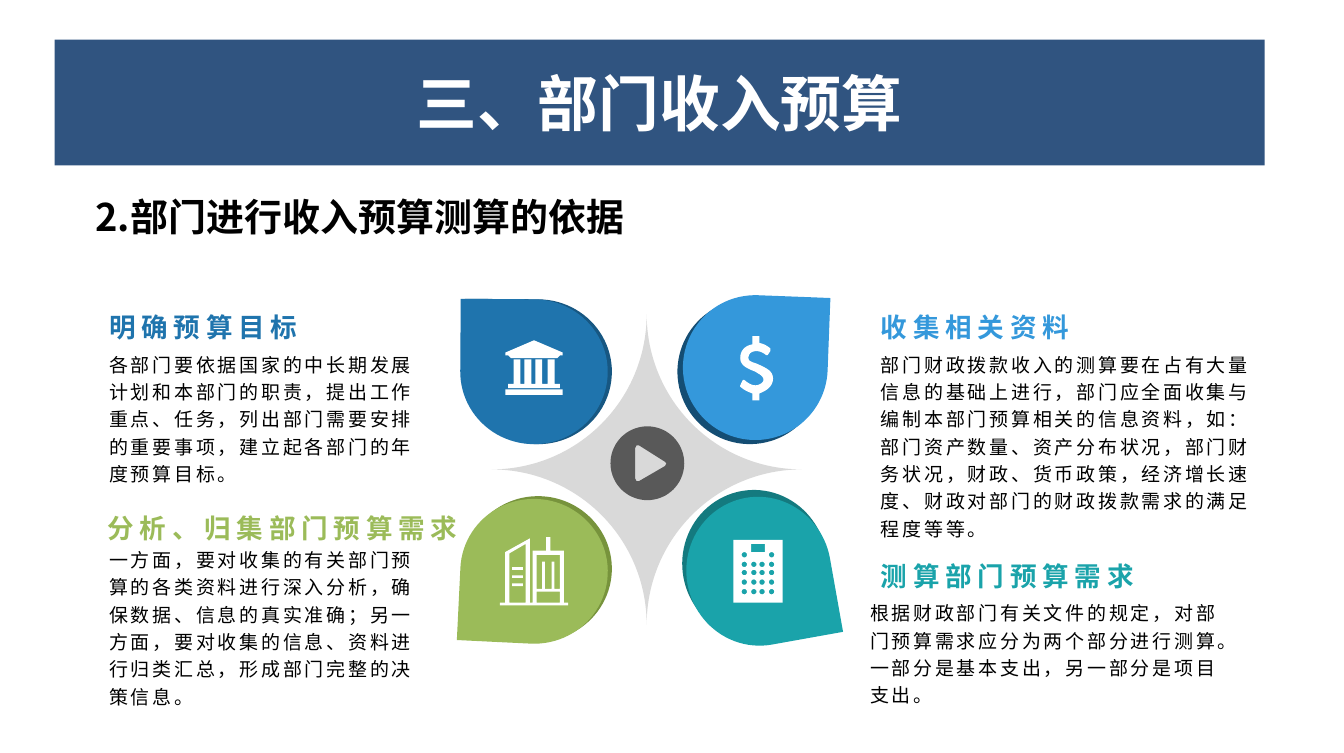
from dataclasses import dataclass
from itertools import product
from math import cos, pi, sin
from typing import Sequence

from lxml.etree import SubElement
from pptx import Presentation
from pptx.dml.color import RGBColor
from pptx.enum.shapes import MSO_SHAPE
from pptx.enum.text import MSO_ANCHOR, MSO_AUTO_SIZE, PP_ALIGN
from pptx.oxml.ns import qn
from pptx.shapes.autoshape import Shape
from pptx.slide import Slide
from pptx.text.text import TextFrame, _Paragraph
from pptx.util import Inches, Pt

Point = tuple[float, float]
Outline = list[Point]


@dataclass(frozen=True)
class Theme:
    font: str = "Noto Sans CJK SC"
    latin_font: str = "Calibri"
    white: str = "FFFFFF"
    black: str = "000000"
    banner: str = "305480"
    star: str = "D9D9D9"
    play: str = "595959"
    title_size: int = 32
    subtitle_size: int = 20
    heading_size: int = 14
    body_size: int = 10


@dataclass(frozen=True)
class Box:
    left: float
    top: float
    width: float
    height: float


@dataclass(frozen=True)
class Topic:
    heading: str
    body: str
    color: str
    shade: str
    heading_box: Box
    body_box: Box
    petal: Box
    shade_left: float
    shade_top: float
    rotation: float
    icon: list[Outline]
    alignment: PP_ALIGN = PP_ALIGN.LEFT


THEME = Theme()


def rectangle(left: float, top: float, right: float, bottom: float) -> Outline:
    return [(left, top), (right, top), (right, bottom), (left, bottom)]


def circle(center_x: float, center_y: float, radius: float, steps: int) -> Outline:
    angles = [2 * pi * step / steps for step in range(steps)]
    return [(center_x + radius * cos(a), center_y + radius * sin(a)) for a in angles]


def curved(start: Point, segments: Sequence[tuple[float, ...]], steps: int = 8) -> Outline:
    """Turn line ends (2 numbers) and cubic curves (6 numbers) into points."""
    points = [start]
    for segment in segments:
        if len(segment) == 2:
            points.append((segment[0], segment[1]))
            continue
        controls = [points[-1], segment[:2], segment[2:4], segment[4:]]
        for step in range(1, steps + 1):
            t = step / steps
            weights = ((1 - t) ** 3, 3 * t * (1 - t) ** 2, 3 * t * t * (1 - t), t ** 3)
            x, y = (sum(w * c[axis] for w, c in zip(weights, controls)) for axis in (0, 1))
            points.append((x, y))
    return points


PLAY = [circle(4.74, 3.39, 0.27, 72),
        [(4.65, 3.28), (4.66, 3.26), (4.68, 3.26), (4.87, 3.38), (4.88, 3.39),
         (4.87, 3.41), (4.68, 3.52), (4.66, 3.52), (4.65, 3.5)]]

BANK = [
    [(3.91, 2.49), (4.12, 2.58), (4.12, 2.6), (4.1, 2.6), (4.08, 2.62),
     (3.74, 2.62), (3.72, 2.6), (3.7, 2.6), (3.7, 2.58)],
    *[rectangle(left, 2.63, left + 0.05, 2.81) for left in (3.76, 3.84, 3.92, 4.01)],
    rectangle(3.72, 2.81, 4.1, 2.84),
    rectangle(3.7, 2.85, 4.12, 2.89),
]

DOLLAR = [curved((5.56, 2.88), [
    (5.56, 2.93), (5.51, 2.93), (5.51, 2.88), (5.45, 2.86, 5.42, 2.83, 5.42, 2.83),
    (5.42, 2.82), (5.44, 2.78), (5.45, 2.78), (5.45, 2.78, 5.49, 2.82, 5.53, 2.82),
    (5.56, 2.82, 5.59, 2.8, 5.59, 2.78), (5.59, 2.75, 5.56, 2.74, 5.53, 2.72),
    (5.48, 2.7, 5.42, 2.68, 5.42, 2.62), (5.42, 2.57, 5.45, 2.53, 5.51, 2.52),
    (5.51, 2.46), (5.56, 2.46), (5.56, 2.51), (5.61, 2.52, 5.64, 2.55, 5.64, 2.55),
    (5.64, 2.57), (5.62, 2.6), (5.61, 2.6), (5.61, 2.6, 5.58, 2.57, 5.54, 2.57),
    (5.5, 2.57, 5.48, 2.59, 5.48, 2.62), (5.48, 2.65, 5.52, 2.65, 5.56, 2.67),
    (5.6, 2.69, 5.66, 2.71, 5.66, 2.77), (5.66, 2.83, 5.61, 2.86, 5.56, 2.88),
])]

BUILDINGS = [
    [(4.16, 4.43), (3.66, 4.43), (3.66, 4.41), (3.7, 4.41), (3.7, 4.04), (3.88, 3.94),
     (3.88, 4.41), (3.9, 4.41), (3.9, 4.03), (4, 4.03), (4, 3.93), (4.03, 3.93),
     (4.03, 4.03), (4.13, 4.03), (4.13, 4.41), (4.16, 4.41)],
    [(3.85, 3.98), (3.73, 4.05), (3.73, 4.41), (3.85, 4.41)],
    rectangle(3.93, 4.06, 4.1, 4.31),
    rectangle(3.93, 4.33, 4.1, 4.41),
    *[rectangle(left, 4.11, left + 0.02, 4.31) for left in (3.97, 4.04)],
    *[rectangle(3.75, top, 3.83, top + 0.02) for top in (4.15, 4.21, 4.27)],
]

KEYS = [(5.45, 4.06), (5.65, 4.06),
        *product((5.45, 5.52, 5.58, 5.65), (4.13, 4.19, 4.26, 4.33))]
CALCULATOR = [rectangle(5.37, 3.95, 5.73, 4.41), rectangle(5.5, 3.98, 5.6, 4.04),
              *[circle(x, y, 0.02, 12) for x, y in KEYS]]

TOPICS = [
    Topic("明确预算目标",
          "各部门要依据国家的中长期发展计划和本部门的职责，提出工作重点、任务，列出部门需要安排的重要事项，建立起各部门的年度预算目标。",
          "1F74AD", "175782", Box(0.73, 2.19, 2.44, 0.32), Box(0.73, 2.55, 2.44, 0.51),
          Box(3.38, 2.18, 1.06, 1.08), 3.41, 2.18, 270.4, BANK),
    Topic("收集相关资料",
          "部门财政拨款收入的测算要在占有大量信息的基础上进行，部门应全面收集与编制本部门预算相关的信息资料，如：部门资产数量、资产分布状况，部门财务状况，财政、货币政策，经济增长速度、财政对部门的财政拨款需求的满足程度等等。",
          "3498DB", "144D73", Box(6.38, 2.19, 2.44, 0.32), Box(6.38, 2.55, 2.88, 0.51),
          Box(5, 2.16, 1.06, 1.06), 4.96, 2.19, 2.2, DOLLAR),
    Topic("分析、归集部门预算需求",
          "一方面，要对收集的有关部门预算的各类资料进行深入分析，确保数据、信息的真实准确；另一方面，要对收集的信息、资料进行归类汇总，形成部门完整的决策信息。",
          "9BBB59", "77933C", Box(0.59, 3.66, 2.83, 0.32), Box(0.73, 3.98, 2.44, 0.51),
          Box(3.37, 3.65, 1.08, 1.06), 3.4, 3.63, 182.8, BUILDINGS, PP_ALIGN.RIGHT),
    Topic("测算部门预算需求",
          "根据财政部门有关文件的规定，对部门预算需求应分为两个部分进行测算。一部分是基本支出，另一部分是项目支出。",
          "1AA3AA", "147A7F", Box(6.38, 4.01, 2.44, 0.32), Box(6.3, 4.37, 2.79, 0.51),
          Box(5.01, 3.65, 1.09, 1.06), 4.98, 3.6, 79.9, CALCULATOR),
]


def paint(shape: Shape, color: str) -> None:
    shape.shadow.inherit = False
    shape.fill.solid()
    shape.fill.fore_color.rgb = RGBColor.from_string(color)
    shape.line.fill.background()


def place(shape: Shape, box: Box) -> None:
    shape.left, shape.top = Inches(box.left), Inches(box.top)
    shape.width, shape.height = Inches(box.width), Inches(box.height)


def add_preset(slide: Slide, kind: MSO_SHAPE, box: Box, color: str, rotation: float = 0) -> Shape:
    shape = slide.shapes.add_shape(kind, 0, 0, 0, 0)
    place(shape, box)
    shape.rotation = rotation
    paint(shape, color)
    return shape


def add_icon(slide: Slide, outlines: list[Outline], color: str) -> None:
    """Draw all outlines as one shape; an outline inside another is a hole."""
    scaled = [[(Inches(x), Inches(y)) for x, y in outline] for outline in outlines]
    builder = slide.shapes.build_freeform(*scaled[0][0])
    for index, points in enumerate(scaled):
        if index:
            builder.move_to(*points[0])
        builder.add_line_segments(points[1:], close=True)
    paint(builder.convert_to_shape(), color)


def add_run(paragraph: _Paragraph, text: str, *, size: float, color: str, bold: bool = False,
            spacing: float = 0, latin: str = THEME.font) -> None:
    run = paragraph.add_run()
    run.text = text
    run.font.size, run.font.bold, run.font.name = Pt(size), bold, latin
    run.font.color.rgb = RGBColor.from_string(color)
    properties = run.font._element
    properties.set("spc", str(int(spacing * 100)))
    SubElement(properties, qn("a:ea")).set("typeface", THEME.font)


def set_frame(frame: TextFrame, margins: tuple[float, ...], anchor: MSO_ANCHOR) -> None:
    frame.word_wrap, frame.auto_size = True, MSO_AUTO_SIZE.NONE
    frame.vertical_anchor = anchor
    (frame.margin_left, frame.margin_top,
     frame.margin_right, frame.margin_bottom) = map(Inches, margins)


def add_text(slide: Slide, box: Box, text: str, *, margins: tuple[float, ...],
             anchor: MSO_ANCHOR = MSO_ANCHOR.TOP, alignment: PP_ALIGN = PP_ALIGN.LEFT,
             line_spacing: float = 1.0, **run_format) -> _Paragraph:
    text_box = slide.shapes.add_textbox(0, 0, 0, 0)
    place(text_box, box)
    set_frame(text_box.text_frame, margins, anchor)
    paragraph = text_box.text_frame.paragraphs[0]
    paragraph.alignment, paragraph.line_spacing = alignment, line_spacing
    add_run(paragraph, text, **run_format)
    return paragraph


def add_title(slide: Slide) -> None:
    title = slide.shapes.title
    place(title, Box(0.4, 0.29, 8.86, 0.92))
    title.fill.solid()
    title.fill.fore_color.rgb = RGBColor.from_string(THEME.banner)
    set_frame(title.text_frame, (0.09, 0.04, 0.09, 0.04), MSO_ANCHOR.MIDDLE)
    paragraph = title.text_frame.paragraphs[0]
    paragraph.alignment = PP_ALIGN.CENTER
    add_run(paragraph, "三、部门收入预算", size=THEME.title_size, color=THEME.white, bold=True)


def add_subtitle(slide: Slide) -> None:
    style = dict(size=THEME.subtitle_size, color=THEME.black, bold=True)
    paragraph = add_text(slide, Box(0.04, 1.37, 6.2, 0.44), "2.部门进行收入",
                         margins=(0.1, 0.05, 0.1, 0.05), **style)
    paragraph._p.get_or_add_pPr().set("indent", str(Inches(0.56)))
    add_run(paragraph, "预算测算的依据", latin=THEME.latin_font, **style)


def add_topic(slide: Slide, topic: Topic) -> None:
    shade_box = Box(topic.shade_left, topic.shade_top, topic.petal.width, topic.petal.height)
    for box, color in ((shade_box, topic.shade), (topic.petal, topic.color)):
        add_preset(slide, MSO_SHAPE.TEAR, box, color, topic.rotation)
    add_icon(slide, topic.icon, THEME.white)
    add_text(slide, topic.body_box, topic.body, margins=(0.07, 0, 0.07, 0.04),
             line_spacing=1.2, size=THEME.body_size, color=THEME.black, spacing=1.5)
    add_text(slide, topic.heading_box, topic.heading, margins=(0.07, 0.04, 0.07, 0),
             anchor=MSO_ANCHOR.BOTTOM, alignment=topic.alignment, line_spacing=1.2,
             size=THEME.heading_size, color=topic.color, bold=True, spacing=3)


def main() -> None:
    presentation = Presentation()
    presentation.slide_width, presentation.slide_height = Inches(9.84), Inches(5.51)
    slide = presentation.slides.add_slide(presentation.slide_layouts[5])
    add_title(slide)
    add_subtitle(slide)
    star = add_preset(slide, MSO_SHAPE.PLAQUE, Box(3.6, 2.3, 2.27, 2.27), THEME.star)
    star.adjustments[0] = 0.5
    add_icon(slide, PLAY, THEME.play)
    for topic in TOPICS:
        add_topic(slide, topic)
    presentation.save("out.pptx")


if __name__ == "__main__":
    main()
